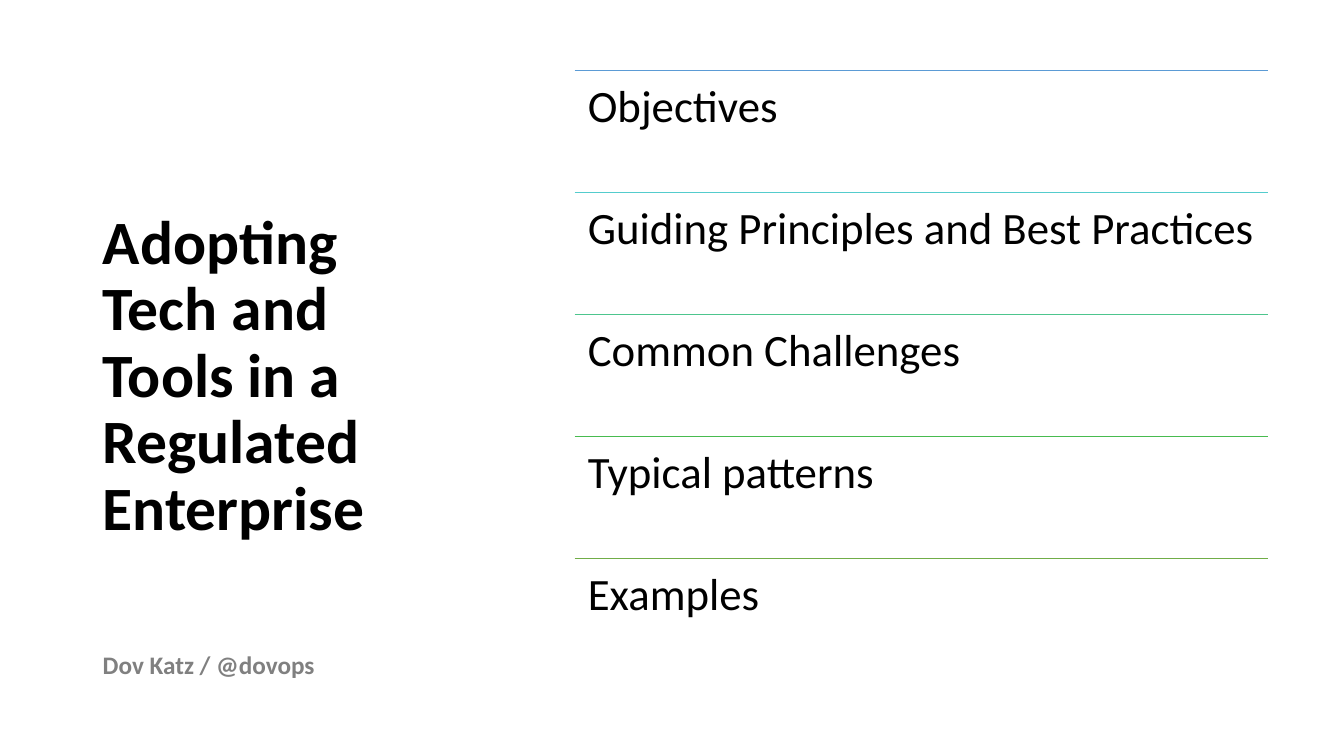
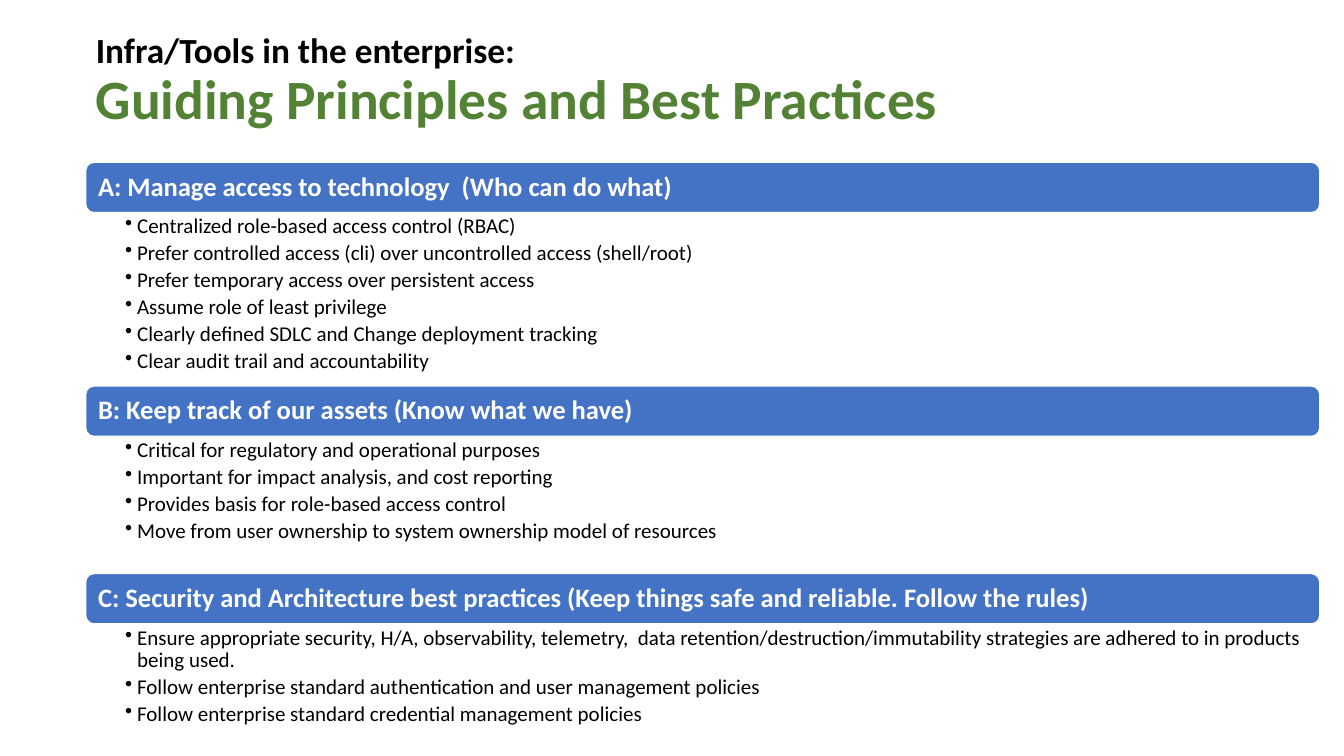
import pptx
import pptx.util
import pptx.dml.color
import pptx.enum.shapes
import pptx.enum.text
import pptx.oxml
import pptx.oxml.ns
from pptx.util import Inches

FONT = "Calibri"
COLORS = {
    "text": "000000",
    "accent": "538234",
    "author": "808080",
    "band": "4472C4",
    "white": "FFFFFF",
}
RULE_COLORS = ["5B9BD5", "54CCCD", "4DC58D", "48BB4F", "70AD47"]
TOPICS = [
    "Objectives",
    "Guiding Principles and Best Practices",
    "Common Challenges",
    "Typical patterns",
    "Examples",
]
PRINCIPLES = [
    ("A: Manage access to technology  (Who can do what)", 1.72, [
        "Centralized role-based access control (RBAC)",
        "Prefer controlled access (cli) over uncontrolled access (shell/root)",
        "Prefer temporary access over persistent access",
        "Assume role of least privilege",
        "Clearly defined SDLC and Change deployment tracking",
        "Clear audit trail and accountability",
    ]),
    ("B: Keep track of our assets (Know what we have)", 1.36, [
        "Critical for regulatory and operational purposes",
        "Important for impact analysis, and cost reporting",
        "Provides basis for role-based access control",
        "Move from user ownership to system ownership model of resources",
    ]),
    ("C: Security and Architecture best practices "
     "(Keep things safe and reliable. Follow the rules)", 1.08, [
        "Ensure appropriate security, H/A, observability, telemetry,  data "
        "retention/destruction/immutability strategies are adhered to in "
        "products being used.",
        "Follow enterprise standard authentication and user management policies",
        "Follow enterprise standard credential management policies",
    ]),
]
ANCHOR = pptx.enum.text.MSO_ANCHOR


def rgb(value):
    return pptx.dml.color.RGBColor.from_string(value)


def add_run(paragraph, text, size, color, bold=False):
    run = paragraph.add_run()
    run.text = text
    run.font.name = FONT
    run.font.size = pptx.util.Pt(size)
    run.font.bold = bold
    run.font.color.rgb = rgb(color)


def set_frame(frame, insets=(0.1, 0.05, 0.1, 0.05), anchor=ANCHOR.TOP):
    frame.word_wrap = True
    frame.auto_size = pptx.enum.text.MSO_AUTO_SIZE.NONE
    frame.vertical_anchor = anchor
    (frame.margin_left, frame.margin_top,
     frame.margin_right, frame.margin_bottom) = map(Inches, insets)


def set_paragraph(paragraph, space_after=0):
    paragraph.alignment = pptx.enum.text.PP_ALIGN.LEFT
    paragraph.line_spacing = 0.9
    paragraph.space_before = pptx.util.Pt(0)
    paragraph.space_after = pptx.util.Pt(space_after)


def add_bullet(paragraph):
    properties = paragraph._p.get_or_add_pPr()
    properties.set("marL", str(Inches(0.12)))
    properties.set("indent", str(-Inches(0.12)))
    bullet = pptx.oxml.parse_xml(
        "<a:buChar %s char='\u2022'/>" % pptx.oxml.ns.nsdecls("a"))
    properties.append(bullet)


def place_title(slide, box, lines, anchor):
    title = slide.shapes.title
    title.left, title.top, title.width, title.height = map(Inches, box)
    set_frame(title.text_frame, anchor=anchor)
    paragraph = title.text_frame.paragraphs[0]
    set_paragraph(paragraph)
    for index, (text, size, color) in enumerate(lines):
        if index:
            paragraph.add_line_break()
        add_run(paragraph, text, size, color, True)


def add_rule(slide, left, top, width, color):
    rule = slide.shapes.add_connector(
        pptx.enum.shapes.MSO_CONNECTOR.STRAIGHT,
        Inches(left), Inches(top), Inches(left + width), Inches(top))
    rule.line.color.rgb = rgb(color)
    rule.line.width = pptx.util.Pt(1)
    rule._element.spPr.append(pptx.oxml.parse_xml(
        "<a:effectLst %s/>" % pptx.oxml.ns.nsdecls("a")))


def add_agenda(slide, box):
    left, top, width, height = box
    step = height / len(TOPICS)
    for index, (topic, color) in enumerate(zip(TOPICS, RULE_COLORS)):
        row_top = top + index * step
        add_rule(slide, left, row_top, width, color)
        row = slide.shapes.add_textbox(
            Inches(left), Inches(row_top), Inches(width), Inches(step))
        set_frame(row.text_frame, (0.13,) * 4)
        paragraph = row.text_frame.paragraphs[0]
        set_paragraph(paragraph)
        add_run(paragraph, topic, 32, COLORS["text"])


def add_author(slide, box):
    author = slide.shapes.add_textbox(*map(Inches, box))
    set_frame(author.text_frame)
    author.text_frame.word_wrap = False
    add_run(author.text_frame.paragraphs[0], "Dov Katz / @dovops",
            18, COLORS["author"], True)


def add_band(slide, box, heading):
    band = slide.shapes.add_shape(
        pptx.enum.shapes.MSO_SHAPE.ROUNDED_RECTANGLE, *map(Inches, box))
    band.shadow.inherit = False
    band.fill.solid()
    band.fill.fore_color.rgb = rgb(COLORS["band"])
    band.line.color.rgb = rgb(COLORS["white"])
    band.line.width = pptx.util.Pt(1)
    set_frame(band.text_frame, anchor=ANCHOR.MIDDLE)
    paragraph = band.text_frame.paragraphs[0]
    set_paragraph(paragraph)
    add_run(paragraph, heading, 19, COLORS["white"], True)


def add_practices(slide, box, practices):
    listing = slide.shapes.add_textbox(*map(Inches, box))
    frame = listing.text_frame
    set_frame(frame, (0.39, 0.03, 0.15, 0.03))
    for index, practice in enumerate(practices):
        paragraph = frame.add_paragraph() if index else frame.paragraphs[0]
        set_paragraph(paragraph, 3)
        add_bullet(paragraph)
        add_run(paragraph, practice, 15, COLORS["text"])


def add_principles(slide, left, top, width, band_height=0.5):
    for heading, list_height, practices in PRINCIPLES:
        add_band(slide, (left, top, width, band_height), heading)
        top += band_height
        add_practices(slide, (left, top, width, list_height), practices)
        top += list_height


def build_agenda_slide(deck, layout):
    slide = deck.slides.add_slide(layout)
    place_title(slide, (0.92, 0.7, 3.23, 6.09), [
        ("Adopting Tech and Tools in a Regulated Enterprise", 44, COLORS["text"]),
    ], ANCHOR.MIDDLE)
    add_agenda(slide, (5.7, 0.7, 6.88, 6.05))
    add_author(slide, (0.92, 6.39, 2.32, 0.4))


def build_principles_slide(deck, layout):
    slide = deck.slides.add_slide(layout)
    place_title(slide, (0.85, 0.3, 11.5, 1.05), [
        ("Infra/Tools in the enterprise:", 25.2, COLORS["text"]),
        ("Guiding Principles and Best Practices", 39.6, COLORS["accent"]),
    ], ANCHOR.BOTTOM)
    add_principles(slide, 0.85, 1.61, 12.24)


deck = pptx.Presentation()
deck.slide_width, deck.slide_height = Inches(13.33), Inches(7.5)
title_only = deck.slide_layouts[5]
build_agenda_slide(deck, title_only)
build_principles_slide(deck, title_only)
deck.save("out.pptx")
